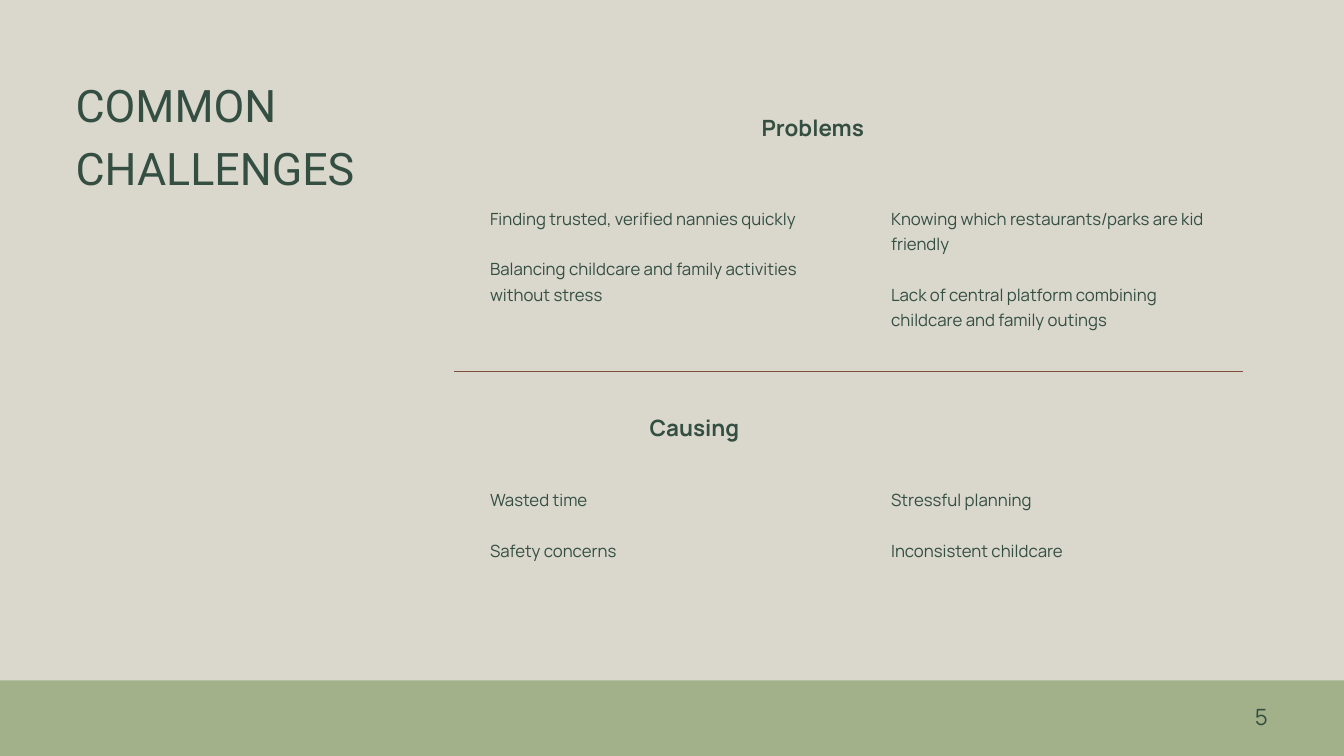
from lxml import etree
from pptx import Presentation
from pptx.dml.color import RGBColor
from pptx.enum.shapes import MSO_CONNECTOR, MSO_SHAPE
from pptx.enum.text import PP_ALIGN
from pptx.oxml.ns import qn
from pptx.util import Pt

PX = 9525
LEFT, RIGHT = PP_ALIGN.LEFT, PP_ALIGN.RIGHT
RECT, LINE = MSO_SHAPE.RECTANGLE, MSO_CONNECTOR.STRAIGHT
COLORS = {"sand": "DAD7CD", "sage": "A3B18A", "pine": "344E41", "rule": "804F3B"}
COLS = (700, 1273)
WIDTH = 456
GROUPS = [
    ("Problems", 1088, 157, 291, [
        ["Finding trusted, verified nannies quickly",
         "Balancing childcare and family activities without stress"],
        ["Knowing which restaurants/parks are kid friendly",
         "Lack of central platform combining childcare and family outings"],
    ]),
    ("Causing", 928, 585, 693, [
        ["Wasted time", "Safety concerns"],
        ["Stressful planning", "Inconsistent childcare"],
    ]),
]


def color(name):
    return RGBColor.from_string(COLORS[name])


def write(para, text, size=18, font="Manrope", bold=False, lead=27, gap=0, align=LEFT):
    para.alignment = align
    para.line_spacing = Pt(lead)
    para.space_before = Pt(gap)
    run = para.add_run()
    run.text = text
    run.font.size = Pt(size)
    run.font.name = font
    run.font.bold = bold
    run.font.color.rgb = color("pine")


class Deck:
    """Holds the presentation, its style and the current slide."""

    def __init__(self, wide, high):
        self.prs = Presentation()
        self.prs.slide_width, self.prs.slide_height = wide * PX, high * PX
        self.slide = self.prs.slides.add_slide(self.prs.slide_layouts[6])
        fill = self.slide.background.fill
        fill.solid()
        fill.fore_color.rgb = color("sand")

    def text(self, x, y, w, h, lines, gap=0, **style):
        box = self.slide.shapes.add_textbox(x * PX, y * PX, w * PX, h * PX)
        frame = box.text_frame
        frame.word_wrap = True
        frame.margin_left = frame.margin_right = 0
        frame.margin_top = frame.margin_bottom = 0
        for i, line in enumerate(lines):
            para = frame.add_paragraph() if i else frame.paragraphs[0]
            write(para, line, gap=gap if i else 0, **style)

    def band(self, x, y, w, h, fill):
        shape = self.slide.shapes.add_shape(RECT, x * PX, y * PX, w * PX, h * PX)
        shape.shadow.inherit = False
        shape.fill.solid()
        shape.fill.fore_color.rgb = color(fill)
        shape.line.fill.background()

    def rule(self, x, y, end, tint):
        line = self.slide.shapes.add_connector(LINE, x * PX, y * PX, end * PX, y * PX)
        line.line.color.rgb = color(tint)
        line.line.width = Pt(0.75)
        etree.SubElement(line._element.spPr, qn("a:effectLst"))


def main():
    deck = Deck(1920, 1080)
    deck.text(108, 98, 486, 175, ["COMMON CHALLENGES"], size=48, font="Roboto", lead=67.2)
    deck.band(0, 972, 1920, 108, "sage")
    deck.text(1479, 998, 332, 43, ["5"], size=24, lead=33.6, align=RIGHT)
    deck.rule(649, 531, 1776, "rule")
    for head, x, y, top, cols in GROUPS:
        deck.text(x, y, WIDTH, 43, [head], size=24, bold=True, lead=33.6)
        for left, lines in zip(COLS, cols):
            deck.text(left, top, WIDTH, 108, lines, gap=27)
    deck.prs.save("out.pptx")


if __name__ == "__main__":
    main()
